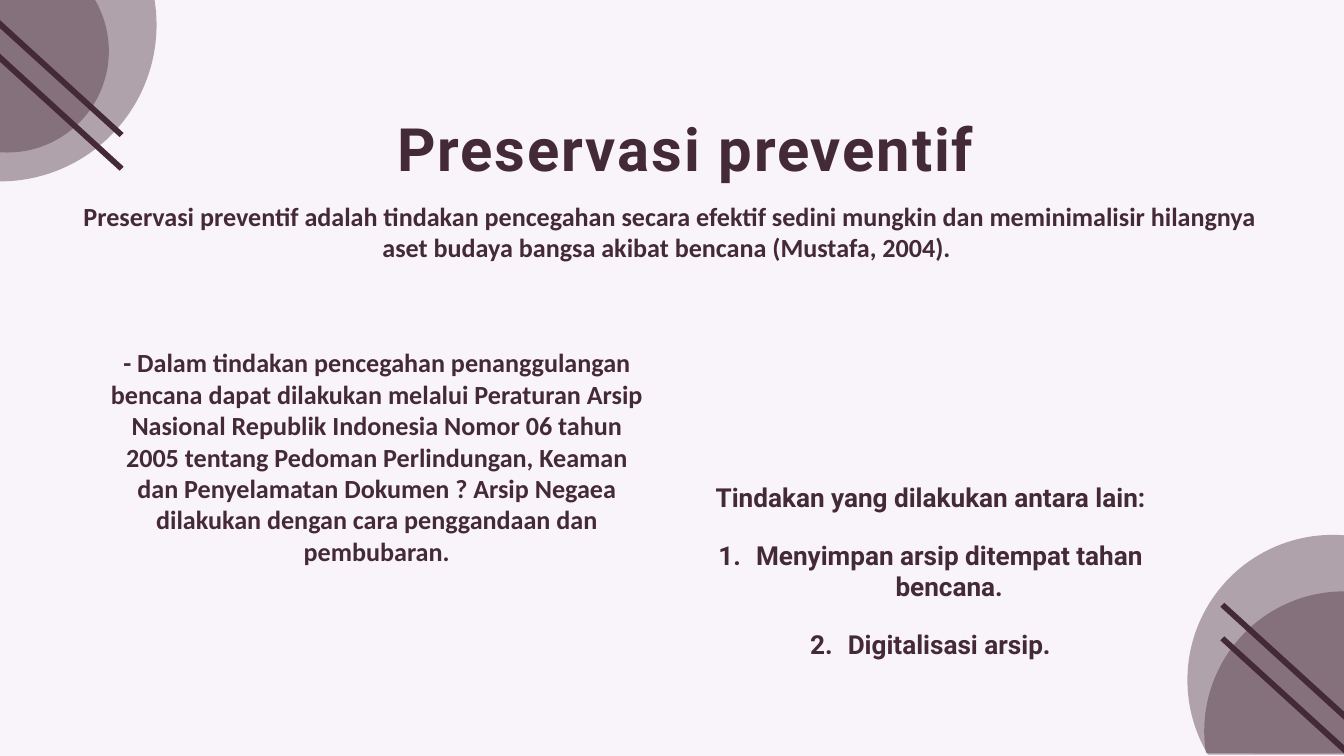
from math import cos, radians, sin

from lxml.etree import SubElement
from pptx import Presentation
from pptx.dml.color import RGBColor
from pptx.enum.text import MSO_ANCHOR, MSO_AUTO_SIZE, PP_ALIGN
from pptx.oxml.ns import qn
from pptx.util import Inches, Pt

PLUM = RGBColor(0x44, 0x29, 0x36)
LILAC = RGBColor(0xF9, 0xF4, 0xF9)

WIDTH, HEIGHT = 20, 11.25
INTRO = ("Preservasi preventif adalah tindakan pencegahan secara efektif sedini mungkin "
         "dan meminimalisir hilangnya aset budaya bangsa akibat bencana (Mustafa, 2004). ")
REGULATION = ("- Dalam tindakan pencegahan penanggulangan bencana dapat dilakukan melalui "
              "Peraturan Arsip Nasional Republik Indonesia Nomor 06 tahun 2005 tentang "
              "Pedoman Perlindungan, Keaman dan Penyelamatan Dokumen ? Arsip Negaea "
              "dilakukan dengan cara penggandaan dan pembubaran.")
ACTIONS = ["Menyimpan arsip ditempat tahan bencana.", "Digitalisasi arsip."]


class Deck:
    def __init__(self):
        self.prs = Presentation()
        self.prs.slide_width, self.prs.slide_height = Inches(WIDTH), Inches(HEIGHT)
        self.s = self.prs.slides.add_slide(self.prs.slide_layouts[1])
        fill = self.s.background.fill
        fill.solid()
        fill.fore_color.rgb = LILAC

    def fill_text(self, sp, box, lines, font="Roboto", size=28, top=0.39, before=28.2):
        """Place sp at box and set its lines as bold centred paragraphs."""
        sp.left, sp.top, sp.width, sp.height = [Inches(v) for v in box]
        tf = sp.text_frame
        frame = {"word_wrap": True, "auto_size": MSO_AUTO_SIZE.SHAPE_TO_FIT_TEXT,
                 "vertical_anchor": MSO_ANCHOR.TOP, "margin_left": 0,
                 "margin_right": 0, "margin_bottom": 0, "margin_top": Inches(top)}
        for name, value in frame.items():
            setattr(tf, name, value)
        for i, line in enumerate(lines):
            p = tf.add_paragraph() if i else tf.paragraphs[0]
            p.alignment = PP_ALIGN.CENTER
            p.space_before = Pt(before)
            r = p.add_run()
            r.text = line
            for name, value in {"name": font, "size": Pt(size), "bold": True}.items():
                setattr(r.font, name, value)
            r.font.color.rgb = PLUM
        return tf

    def title(self, text, box):
        tf = self.fill_text(self.s.shapes.title, box, [text], size=64)
        tf.paragraphs[0].runs[0].font._element.set("spc", "210")

    def numbered_list(self, heading, items, box):
        tf = self.fill_text(self.s.placeholders[1], box, [heading, *items])
        for i, p in enumerate(tf.paragraphs):
            pPr = p._p.get_or_add_pPr()
            indent = Inches(0.56) if i else 0
            pPr.set("marL", str(indent))
            pPr.set("indent", str(-indent))
            if i:
                SubElement(pPr, qn("a:buFont"), typeface="+mj-lt")
                SubElement(pPr, qn("a:buAutoNum"), type="arabicPeriod")
            else:
                SubElement(pPr, qn("a:buNone"))

    def paragraph(self, text, box):
        sp = self.s.shapes.add_textbox(0, 0, 0, 0)
        self.fill_text(sp, box, [text], font="Calibri", top=0.01, before=0)

    def outline(self, contours, alpha=None):
        """Fill one or more closed contours, with alpha in percent."""
        builder = None
        for contour in contours:
            start, *rest = [(Inches(x), Inches(y)) for x, y in contour]
            if builder is None:
                builder = self.s.shapes.build_freeform(*start)
            else:
                builder.move_to(*start)
            builder.add_line_segments(rest, close=True)
        sp = builder.convert_to_shape()
        sp.shadow.inherit = False
        sp.fill.solid()
        sp.fill.fore_color.rgb = PLUM
        sp.line.fill.background()
        if alpha is not None:
            color = sp._element.spPr.find(qn("a:solidFill"))[0]
            SubElement(color, qn("a:alpha"), val=str(alpha * 1000))

    def corner_disc(self, cx, cy, radius, start, end, corner):
        """Draw the part of a disc inside the slide: an arc in degrees plus the corner."""
        steps = 60
        angles = [radians(start + (end - start) * i / steps) for i in range(steps + 1)]
        arc = [(cx + radius * cos(a), cy + radius * sin(a)) for a in angles]
        self.outline([arc + [corner]], alpha=40)

    def stripes(self, turned=False):
        """Draw two parallel diagonal bars; turned gives the half-turn version."""
        bar = [(1.84, 2.48), (0, 0.8), (0, 0.92), (1.78, 2.54)]
        bars = [[(x, y - shift) for x, y in bar] for shift in (0, 0.5)]
        if turned:
            bars = [[(WIDTH - x, 11.51 - y) for x, y in b] for b in bars]
        self.outline(bars)


def main():
    deck = Deck()
    deck.title("Preservasi preventif", (3.83, 1.27, 12.75, 1.47))
    deck.numbered_list("Tindakan yang dilakukan antara lain:", ACTIONS,
                       (10.21, 6.77, 7.27, 3.07))
    deck.paragraph(INTRO, (1.17, 2.97, 17.58, 0.96))
    deck.paragraph(REGULATION, (1.62, 5.15, 7.97, 3.31))

    deck.corner_disc(0, 0.37, 2.33, -9.1, 90, (0, 0))
    deck.corner_disc(0.11, 0.76, 1.51, -30.2, 94.2, (0, 0))
    deck.stripes()

    deck.corner_disc(20, 10.88, 2.08, 170.9, 270, (WIDTH, 11.21))
    deck.corner_disc(19.83, 10.12, 2.16, 149.1, 274.5, (WIDTH, 11.23))
    deck.stripes(turned=True)
    deck.prs.save("out.pptx")


if __name__ == "__main__":
    main()
